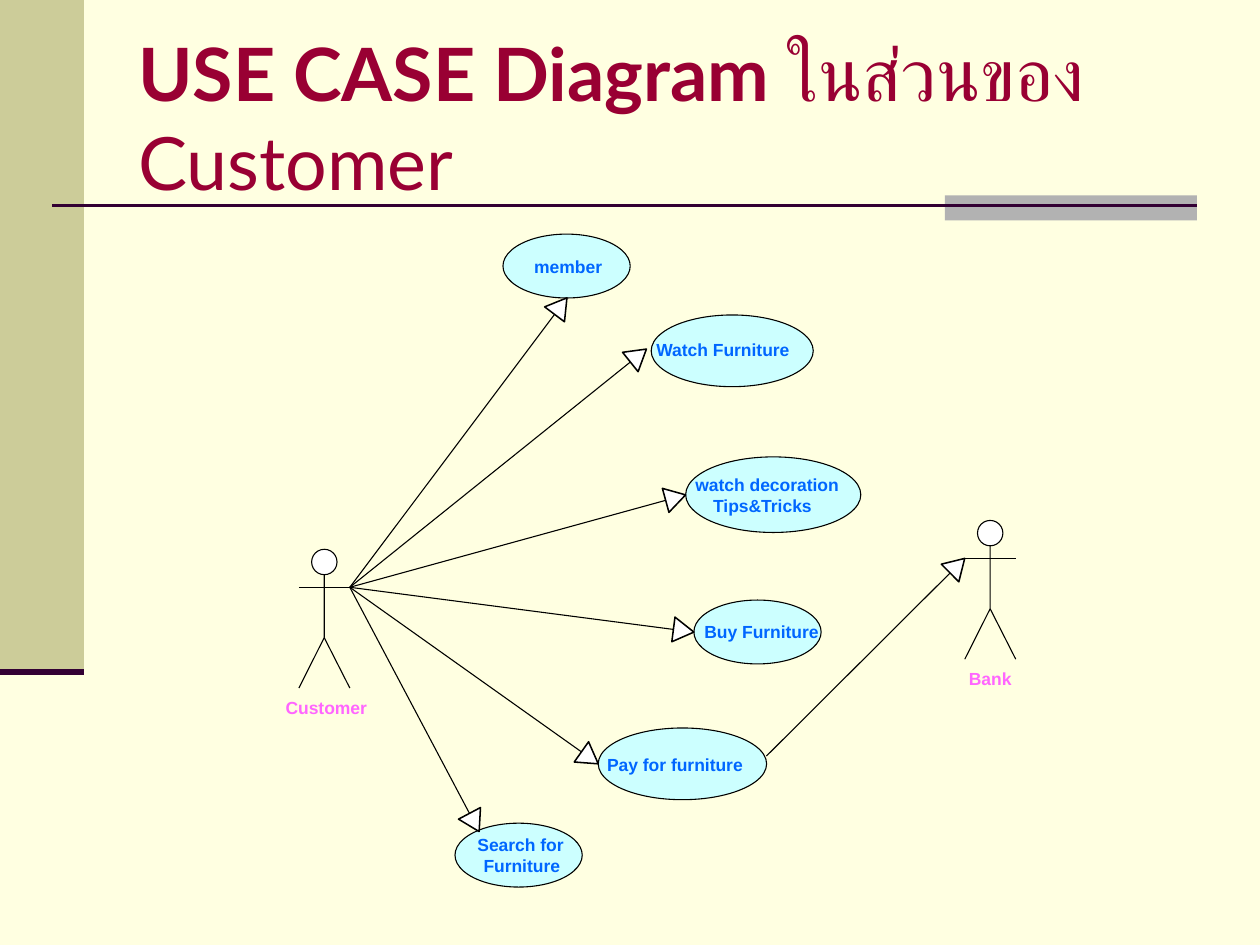
from math import hypot

from lxml import etree
from pptx import Presentation
from pptx.dml.color import RGBColor
from pptx.enum.shapes import MSO_CONNECTOR, MSO_SHAPE
from pptx.enum.text import MSO_ANCHOR, MSO_AUTO_SIZE
from pptx.oxml.ns import qn
from pptx.util import Pt

RECT, OVAL = MSO_SHAPE.RECTANGLE, MSO_SHAPE.OVAL
STRAIGHT = MSO_CONNECTOR.STRAIGHT
TOP, MIDDLE = MSO_ANCHOR.TOP, MSO_ANCHOR.MIDDLE
GROW, FIXED = MSO_AUTO_SIZE.SHAPE_TO_FIT_TEXT, MSO_AUTO_SIZE.NONE

COLORS = {
    "page": "FFFFE1", "band": "CCCC99", "tab": "B2B2B2", "rule": "330033",
    "title": "990033", "actor": "FF66FF", "label": "0066FF",
    "case": "CCFFFF", "white": "FFFFFF", "black": "000000",
}
THIN, EDGE = 0.62, 0.88
HEAD, HALF = 11.8, 7.1  # arrowhead length and half its base
LABEL_H = 12.2
HAND = (199.9, 335.6)  # the customer's right hand

# Oval box, arrow tip, then label lines as (text, left, top, width)
CASES = [
    ((287.4, 133.8, 72.7, 36.5), (324, 170.2),
     [("member", 305.3, 146.2, 38.9)]),
    ((372.1, 180, 92.6, 41), (369.4, 199.5),
     [("Watch Furniture", 375.1, 193.7, 76.3)]),
    ((391.8, 261.1, 100.1, 43.2), (391.8, 282.8),
     [("watch decoration", 397.4, 270.7, 82.1),
      ("Tips&Tricks", 407.5, 282.9, 56.9)]),
    ((396.5, 342.9, 72.7, 36.5), (396.5, 361.2),
     [("Buy Furniture", 402.5, 355, 65.5)]),
    ((341.9, 416, 96.2, 41), (341.9, 436.5),
     [("Pay for furniture", 346.9, 430.6, 77.8)]),
    ((260, 470.4, 72.7, 36.5), (273.8, 475.2),
     [("Search for", 272.8, 476.5, 49.7),
      ("Furniture", 276.3, 488.7, 43.9)]),
]


def pts(*nums):
    return [Pt(n) for n in nums]


def rgb(name):
    return RGBColor.from_string(COLORS[name])


def style(shape, fill=None, line=None, width=THIN):
    shape.shadow.inherit = False
    if fill:
        shape.fill.solid()
        shape.fill.fore_color.rgb = rgb(fill)
    else:
        shape.fill.background()
    if line:
        shape.line.color.rgb = rgb(line)
        shape.line.width = Pt(width)
    else:
        shape.line.fill.background()


def add_shape(slide, kind, box, **look):
    style(slide.shapes.add_shape(kind, *pts(*box)), **look)


def add_line(slide, start, end, color="black", width=THIN):
    line = slide.shapes.add_connector(STRAIGHT, *pts(*start, *end))
    line.line.color.rgb = rgb(color)
    line.line.width = Pt(width)
    etree.SubElement(line._element.spPr, qn("a:effectLst"))


def add_path(slide, strokes, close=False, **look):
    """Draw one outline made of several strokes."""
    path = slide.shapes.build_freeform(*pts(*strokes[0][0]))
    for i, (first, *rest) in enumerate(strokes):
        if i:
            path.move_to(*pts(*first))
        path.add_line_segments([pts(*p) for p in rest], close=close)
    style(path.convert_to_shape(), **look)


def add_text(slide, box, runs, color, size=10, font="Arial",
             wrap=False, inset=(0, 0), anchor=TOP):
    """Add one paragraph; runs holds (text, bold) pairs."""
    frame = slide.shapes.add_textbox(*pts(*box)).text_frame
    frame.word_wrap = wrap
    frame.auto_size = FIXED if wrap else GROW
    frame.vertical_anchor = anchor
    frame.margin_left = frame.margin_right = Pt(inset[0])
    frame.margin_top = frame.margin_bottom = Pt(inset[1])
    for text, bold in runs:
        run = frame.paragraphs[0].add_run()
        run.text = text
        run.font.name, run.font.size, run.font.bold = font, Pt(size), bold
        run.font.color.rgb = rgb(color)


def add_arrow(slide, start, tip):
    """Draw a line that ends in a hollow triangle."""
    dx, dy = tip[0] - start[0], tip[1] - start[1]
    span = hypot(dx, dy)
    ux, uy = dx / span, dy / span
    x, y = tip[0] - HEAD * ux, tip[1] - HEAD * uy
    add_line(slide, start, (x, y))
    left = (x + HALF * uy, y - HALF * ux)
    right = (x - HALF * uy, y + HALF * ux)
    add_path(slide, [[left, right, tip]], close=True,
             fill="white", line="black", width=EDGE)


def add_actor(slide, x, y, name, box):
    mid, end, hip, foot = x + 14.5, x + 29.1, y + 50.5, y + 79.3
    add_shape(slide, OVAL, (x + 7.3, y, 14.5, 14.5),
              fill="white", line="black")
    add_path(slide, [
        [(x, y + 21.7), (end, y + 21.7)],
        [(mid, hip), (end, foot)],
        [(mid, y + 14.5), (mid, hip), (x, foot)],
    ], line="black")
    add_text(slide, box, [(name, True)], "actor")


def add_frame(slide):
    """Draw the side band, the rules and the title."""
    add_shape(slide, RECT, (0, 0, 48, 384), fill="band")
    add_shape(slide, RECT, (540, 111.6, 144, 14.4), fill="tab")
    add_line(slide, (30, 117.6), (684, 117.6), "rule", 1.5)
    add_line(slide, (0, 384), (48, 384), "rule", 3.5)
    add_text(slide, (72, 21.6, 612, 90),
             [("USE CASE Diagram ", True), ("ในส่วนของ Customer", False)],
             "title", size=42, font="Lato", wrap=True,
             inset=(7.2, 3.6), anchor=MIDDLE)


def main():
    deck = Presentation()
    deck.slide_width, deck.slide_height = pts(720, 540)
    slide = deck.slides.add_slide(deck.slide_layouts[6])
    back = slide.background.fill
    back.solid()
    back.fore_color.rgb = rgb("page")
    add_frame(slide)
    add_actor(slide, 170.8, 313.9, "Customer", (163.2, 398.2, 46.8, LABEL_H))
    for box, tip, lines in CASES:
        add_shape(slide, OVAL, box, fill="case", line="black")
        for text, x, y, width in lines:
            add_text(slide, (x, y, width, LABEL_H), [(text, True)], "label")
    for box, tip, lines in CASES:
        add_arrow(slide, HAND, tip)
    add_actor(slide, 551.3, 297.4, "Bank", (553.7, 381.6, 24.5, LABEL_H))
    add_arrow(slide, (438, 432), (551.3, 319.1))
    deck.save("out.pptx")


if __name__ == "__main__":
    main()
